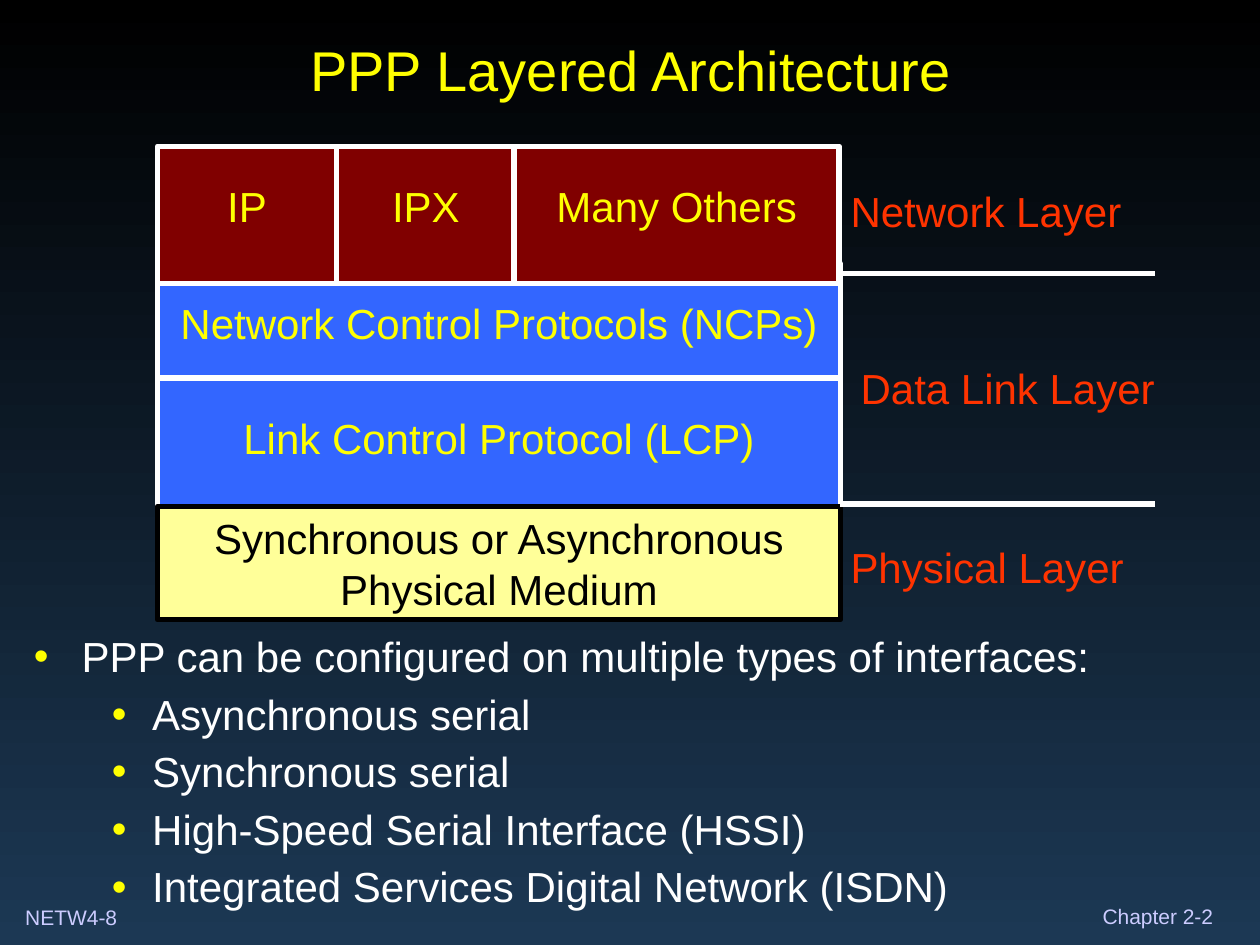
from typing import NamedTuple

from lxml import etree
from pptx import Presentation
from pptx.dml.color import RGBColor
from pptx.enum.shapes import MSO_CONNECTOR, MSO_SHAPE
from pptx.enum.text import MSO_ANCHOR, PP_ALIGN
from pptx.oxml.ns import qn
from pptx.util import Inches, Pt

RECTANGLE, STRAIGHT = MSO_SHAPE.RECTANGLE, MSO_CONNECTOR.STRAIGHT
TOP, MIDDLE, BOTTOM = MSO_ANCHOR.TOP, MSO_ANCHOR.MIDDLE, MSO_ANCHOR.BOTTOM
LEFT, CENTER = PP_ALIGN.LEFT, PP_ALIGN.CENTER

FONT = "Arial"
COLORS = {
    "night": "000000", "navy": "1C3854", "yellow": "FFFF00", "white": "FFFFFF",
    "maroon": "800000", "blue": "3366FF", "cream": "FFFF99", "black": "000000",
    "orange": "FF3300", "lavender": "CCCCFF",
}
STACK_LEFT, STACK_WIDTH = 1.25, 5.42
STACK_RIGHT = STACK_LEFT + STACK_WIDTH
DIVIDER_LENGTH = 2.5
BORDER = Pt(3)


class Block(NamedTuple):
    text: str
    left: float
    top: float
    width: float
    height: float
    fill: str
    border: str = "white"
    color: str = "yellow"
    bottom_inset: float = 0.2


class Label(NamedTuple):
    text: str
    left: float
    top: float
    width: float
    height: float
    color: str
    size: int
    insets: tuple[float, float, float, float] = (0, 0.05, 0, 0.05)
    anchor: MSO_ANCHOR = TOP


class Bullet(NamedTuple):
    text: str
    level: int = 1


BLOCKS = [
    Block("Network Control Protocols (NCPs)", STACK_LEFT, 2.09, STACK_WIDTH, 1.1, "blue"),
    Block("IP", STACK_LEFT, 1.16, 1.42, 1.09, "maroon"),
    Block("IPX", 2.67, 1.16, 1.42, 1.09, "maroon"),
    Block("Many Others", 4.08, 1.16, 2.58, 1.09, "maroon"),
    Block("Link Control Protocol (LCP)", STACK_LEFT, 3, STACK_WIDTH, 1.1, "blue"),
    Block("Synchronous or Asynchronous\vPhysical Medium", STACK_LEFT, 4.02,
          STACK_WIDTH, 0.9, "cream", "black", "black", 0.05),
]
DIVIDER_TOPS = [2.17, 4]
LABELS = [
    Label("Network Layer", 6.75, 1.42, 2.42, 0.5, "orange", 24),
    Label("Data Link Layer", 6.83, 2.83, 2.42, 0.5, "orange", 24),
    Label("Physical Layer", 6.75, 4.25, 2.42, 0.5, "orange", 24),
    Label("NETW4-8", 0, 7.13, 1.17, 0.3, "lavender", 12, (0.2, 0.05, 0.1, 0.05)),
    Label("Chapter 2-2", 8.75, 7.17, 0.92, 0.2, "lavender", 12, (0, 0, 0, 0), BOTTOM),
]
BULLETS = [
    Bullet("PPP can be configured on multiple types of interfaces:", 0),
    Bullet("Asynchronous serial"),
    Bullet("Synchronous serial"),
    Bullet("High-Speed Serial Interface (HSSI)"),
    Bullet("Integrated Services Digital Network (ISDN)"),
]
BULLET_INDENTS = [(0.38, -0.38), (0.94, -0.32)]


def rgb(name: str) -> RGBColor:
    return RGBColor.from_string(COLORS[name])


def place(left: float, top: float, width: float, height: float) -> tuple:
    return Inches(left), Inches(top), Inches(width), Inches(height)


def set_insets(frame, insets: tuple[float, float, float, float]) -> None:
    frame.margin_left, frame.margin_top, frame.margin_right, frame.margin_bottom = (
        Inches(inset) for inset in insets)


def format_paragraph(paragraph, size: int, color: str, alignment: PP_ALIGN = LEFT) -> None:
    paragraph.alignment = alignment
    for font in [paragraph.font, *(run.font for run in paragraph.runs)]:
        font.name, font.size = FONT, Pt(size)
        font.color.rgb = rgb(color)


def paint_background(slide) -> None:
    fill = slide.background.fill
    fill.gradient()
    fill.gradient_angle = 270
    for stop, position, name in zip(fill.gradient_stops, (0, 1), ("night", "navy")):
        stop.position = position
        stop.color.rgb = rgb(name)


def write_title(slide, text: str) -> None:
    title = slide.shapes.title
    title.left, title.top, title.width, title.height = place(0.17, 0.17, 9.67, 0.75)
    title.text_frame.text = text
    title.text_frame.vertical_anchor = MIDDLE
    format_paragraph(title.text_frame.paragraphs[0], 32, "yellow", CENTER)


def draw_block(slide, block: Block) -> None:
    shape = slide.shapes.add_shape(
        RECTANGLE, *place(block.left, block.top, block.width, block.height))
    shape.shadow.inherit = False
    shape.fill.solid()
    shape.fill.fore_color.rgb = rgb(block.fill)
    shape.line.color.rgb = rgb(block.border)
    shape.line.width = BORDER
    frame = shape.text_frame
    frame.text = block.text
    frame.vertical_anchor = MIDDLE
    set_insets(frame, (0, 0.05, 0, block.bottom_inset))
    format_paragraph(frame.paragraphs[0], 24, block.color, CENTER)


def draw_divider(slide, top: float) -> None:
    line = slide.shapes.add_connector(
        STRAIGHT, Inches(STACK_RIGHT), Inches(top),
        Inches(STACK_RIGHT + DIVIDER_LENGTH), Inches(top))
    line.line.color.rgb = rgb("white")
    line.line.width = BORDER
    etree.SubElement(line._element.spPr, qn("a:effectLst"))


def draw_label(slide, label: Label) -> None:
    frame = slide.shapes.add_textbox(
        *place(label.left, label.top, label.width, label.height)).text_frame
    frame.word_wrap = False
    frame.vertical_anchor = label.anchor
    set_insets(frame, label.insets)
    frame.text = label.text
    format_paragraph(frame.paragraphs[0], label.size, label.color)


def add_bullet_mark(paragraph, level: int) -> None:
    margin, indent = BULLET_INDENTS[level]
    properties = paragraph._p.get_or_add_pPr()
    properties.set("marL", str(Inches(margin)))
    properties.set("indent", str(Inches(indent)))
    bullet_color = etree.SubElement(properties, qn("a:buClr"))
    etree.SubElement(bullet_color, qn("a:srgbClr"), val=COLORS["yellow"])
    etree.SubElement(properties, qn("a:buFont"), typeface=FONT)
    etree.SubElement(properties, qn("a:buChar"), char="•")


def write_bullets(slide, bullets: list[Bullet]) -> None:
    frame = slide.shapes.add_textbox(*place(0.17, 5, 9.67, 2.33)).text_frame
    frame.word_wrap = True
    for index, bullet in enumerate(bullets):
        paragraph = frame.add_paragraph() if index else frame.paragraphs[0]
        paragraph.text = bullet.text
        paragraph.level = bullet.level
        add_bullet_mark(paragraph, bullet.level)
        paragraph.line_spacing = 0.9
        paragraph.space_before = Pt(7 if index else 0)
        format_paragraph(paragraph, 24, "white")


def main() -> None:
    presentation = Presentation()
    presentation.slide_width, presentation.slide_height = Inches(10), Inches(7.5)
    slide = presentation.slides.add_slide(presentation.slide_layouts[5])
    paint_background(slide)
    write_title(slide, "PPP Layered Architecture")
    write_bullets(slide, BULLETS)
    for block in BLOCKS:
        draw_block(slide, block)
    for top in DIVIDER_TOPS:
        draw_divider(slide, top)
    for label in LABELS:
        draw_label(slide, label)
    presentation.save("out.pptx")


if __name__ == "__main__":
    main()
